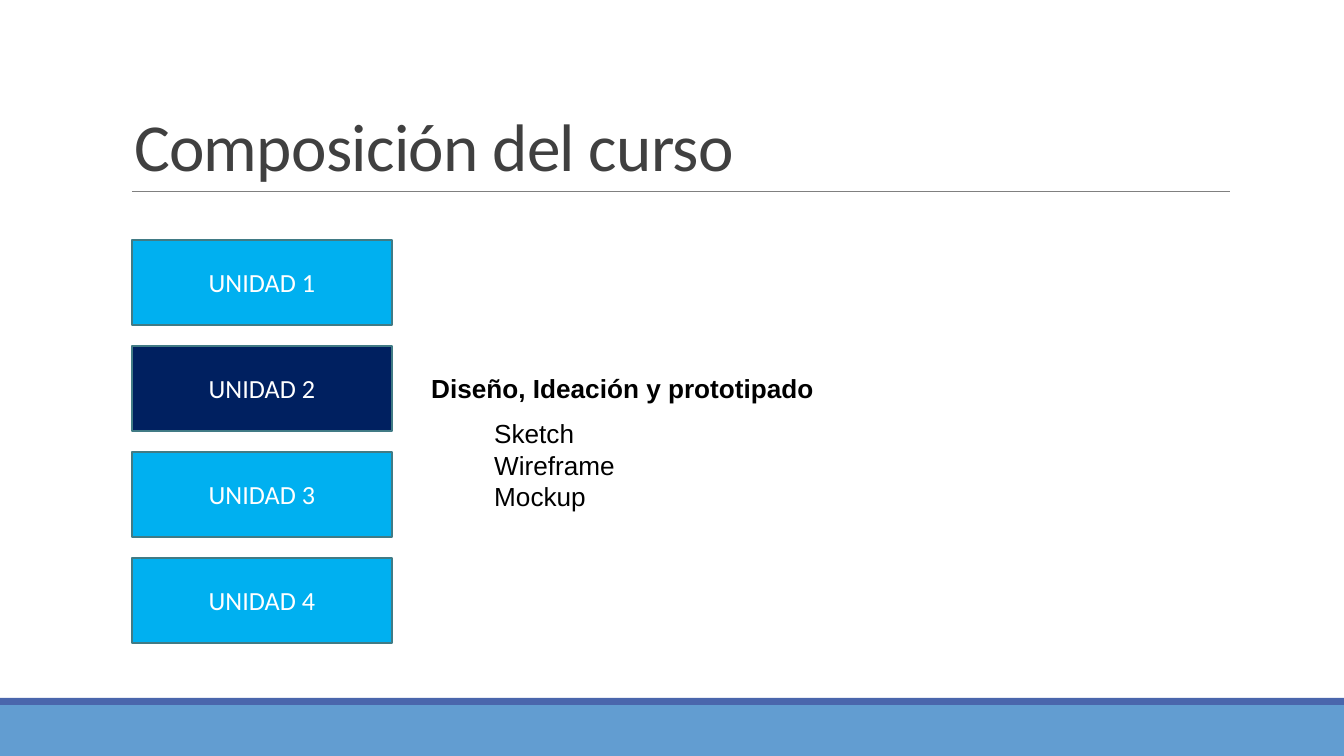
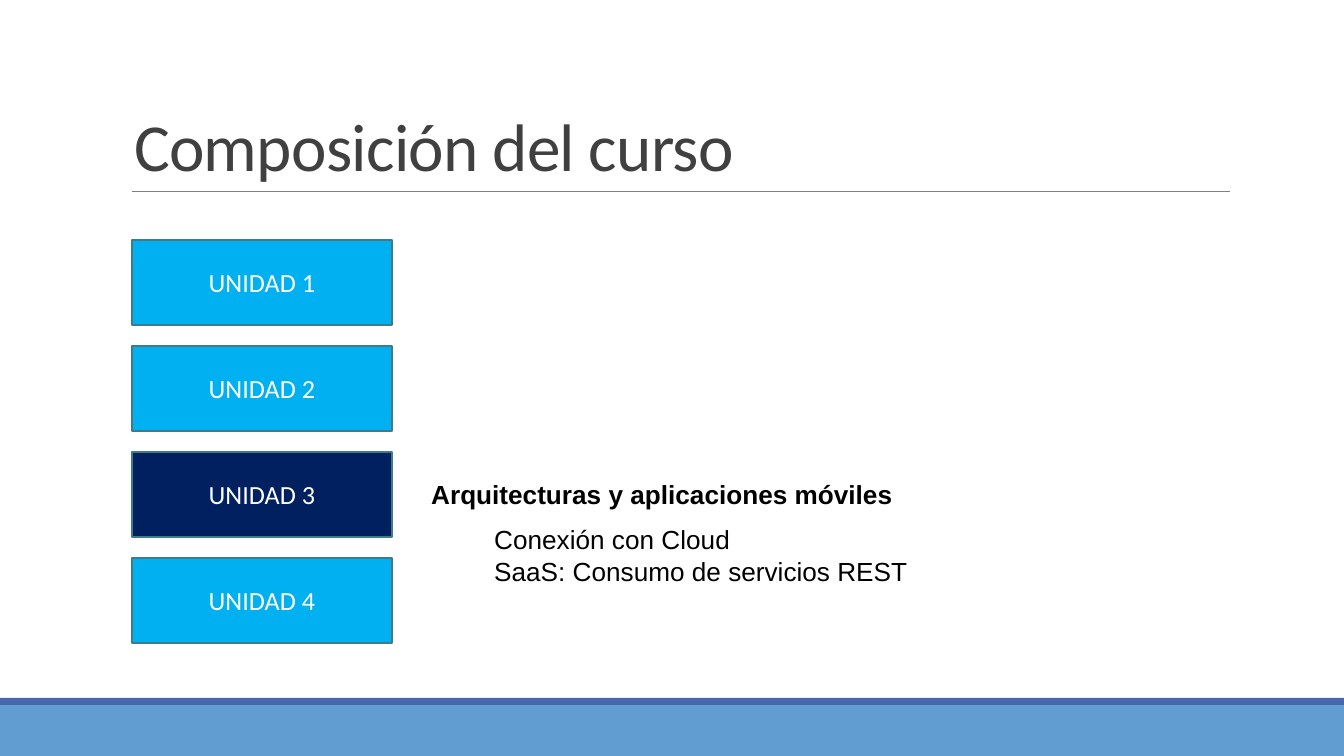
from pptx import Presentation
from pptx.dml.color import RGBColor
from pptx.enum.shapes import MSO_CONNECTOR, MSO_SHAPE
from pptx.enum.text import MSO_ANCHOR as ANCHOR, MSO_AUTO_SIZE as AUTO, PP_ALIGN as ALIGN
from pptx.oxml.ns import qn
from pptx.util import Pt
from lxml.etree import SubElement

PX = 914400 / 134.4  # EMU per px
WIDTH, HEIGHT = 1344, 756

BLACK = RGBColor(0x00, 0x00, 0x00)
WHITE = RGBColor(0xFF, 0xFF, 0xFF)
CHARCOAL = RGBColor(0x40, 0x40, 0x40)
GRAY = RGBColor(0x80, 0x80, 0x80)
BAND = RGBColor(0x62, 0x9D, 0xD1)
STRIPE = RGBColor(0x4A, 0x66, 0xAC)
SKY = RGBColor(0x00, 0xB0, 0xF0)
NAVY = RGBColor(0x00, 0x20, 0x60)
TEAL = RGBColor(0x41, 0x7B, 0x85)

UNITS = 4
UNIT_X, UNIT_Y, UNIT_W, UNIT_H, UNIT_STEP = 132, 240, 260, 85, 106


def px(*lengths):
    return [round(n * PX) for n in lengths]


class Deck:
    title_font, body_font = "Calibri", "Arial"

    def __init__(self):
        self.prs = Presentation()
        self.prs.slide_width, self.prs.slide_height = px(WIDTH, HEIGHT)
        self.s = None

    def new_slide(self, title):
        self.s = self.prs.slides.add_slide(self.prs.slide_layouts[6])
        self.rect(0, 705, WIDTH, 51, BAND)
        self.rect(0, 698, WIDTH, 7, STRIPE)
        self.rule(132, 192, 1230)
        self.title(title)

    def rect(self, x, y, w, h, fill, line=None):
        sp = self.s.shapes.add_shape(MSO_SHAPE.RECTANGLE, *px(x, y, w, h))
        sp.shadow.inherit = False
        sp.fill.solid()
        sp.fill.fore_color.rgb = fill
        if line is None:
            sp.line.fill.background()
        else:
            sp.line.color.rgb = line
            sp.line.width = Pt(1.25)
        return sp

    def rule(self, x1, y, x2):
        line = self.s.shapes.add_connector(MSO_CONNECTOR.STRAIGHT, *px(x1, y, x2, y))
        line.line.color.rgb = GRAY
        line.line.width = Pt(0.5)
        SubElement(line._element.spPr, qn("a:effectLst"))

    def set_text(self, tf, text, font, size, color, bold=False):
        """Fill a text frame, one paragraph per line of text."""
        tf.word_wrap = True
        tf.text = text
        for p in tf.paragraphs:
            for r in p.runs:
                r.font.name, r.font.size, r.font.bold = font, Pt(size), bold
                r.font.color.rgb = color

    def title(self, text):
        tf = self.s.shapes.add_textbox(*px(121, 32, 1109, 160)).text_frame
        tf.vertical_anchor = ANCHOR.BOTTOM
        self.set_text(tf, text, self.title_font, 36, CHARCOAL)
        p = tf.paragraphs[0]
        p.line_spacing = 0.85
        p.runs[0].font._element.set("spc", "-40")

    def unit(self, number, y, active):
        sp = self.rect(UNIT_X, y, UNIT_W, UNIT_H, NAVY if active else SKY, TEAL)
        tf = sp.text_frame
        tf.vertical_anchor = ANCHOR.MIDDLE
        self.set_text(tf, f"UNIDAD {number}", self.title_font, 14, WHITE)
        tf.paragraphs[0].alignment = ALIGN.CENTER

    def text(self, x, y, h, text, bold=False):
        tf = self.s.shapes.add_textbox(*px(x, y, 550, h)).text_frame
        self.set_text(tf, text, self.body_font, 14, BLACK, bold)
        tf.auto_size = AUTO.SHAPE_TO_FIT_TEXT

    def course_slide(self, current, heading, topics):
        """Show all units, with the heading and topics beside the current one."""
        self.new_slide("Composición del curso")
        for number in range(1, UNITS + 1):
            y = UNIT_Y + (number - 1) * UNIT_STEP
            active = number == current
            self.unit(number, y, active)
            if active:
                self.text(418, y + 20, 46, heading, bold=True)
                self.text(481, y + 65, 109, "\n".join(topics))


def main():
    deck = Deck()
    deck.course_slide(2, "Diseño, Ideación y prototipado",
                      ["Sketch", "Wireframe", "Mockup"])
    deck.course_slide(3, "Arquitecturas y aplicaciones móviles",
                      ["Conexión con Cloud", "SaaS: Consumo de servicios REST"])
    deck.prs.save("out.pptx")


if __name__ == "__main__":
    main()
